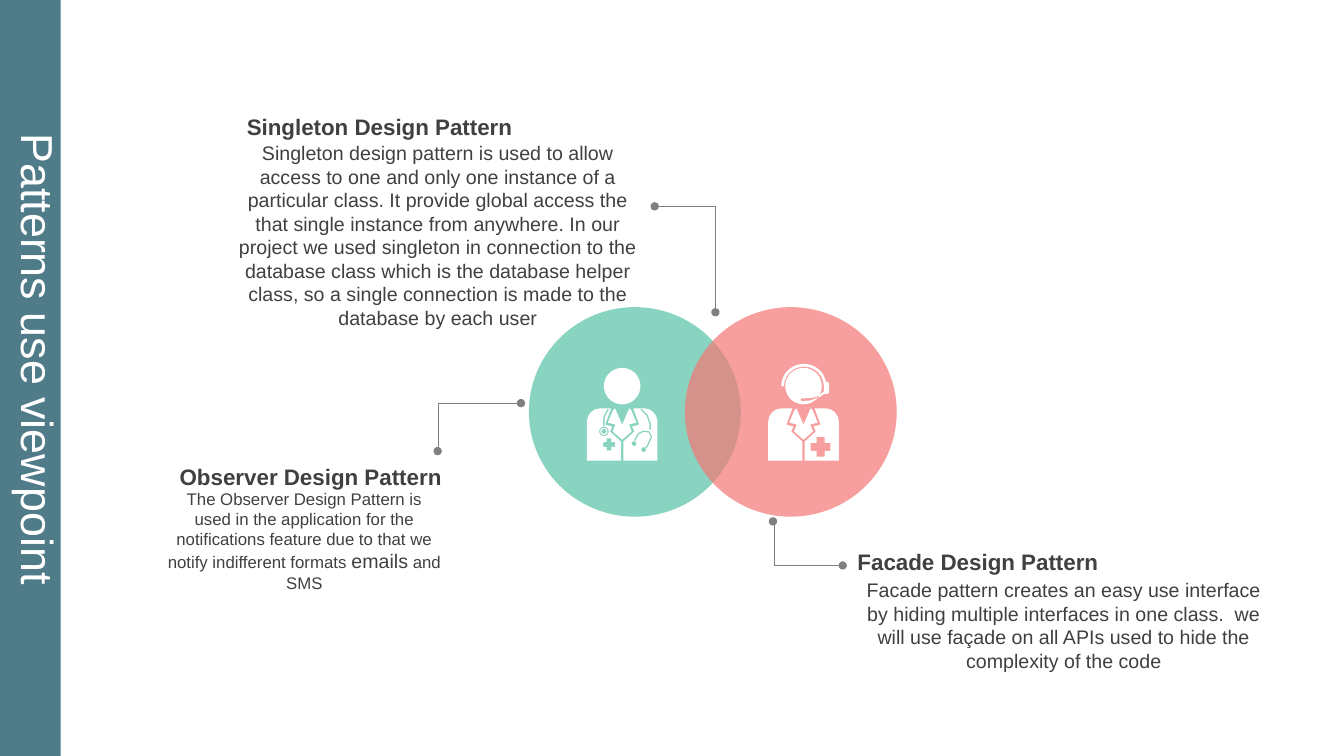
from math import cos, hypot, radians, sin

from lxml import etree
from pptx import Presentation
from pptx.dml.color import RGBColor
from pptx.enum.shapes import MSO_CONNECTOR, MSO_SHAPE
from pptx.enum.text import MSO_AUTO_SIZE, PP_ALIGN
from pptx.oxml.ns import qn
from pptx.util import Cm, Pt

ELBOW = MSO_CONNECTOR.ELBOW
RECT, OVAL = MSO_SHAPE.RECTANGLE, MSO_SHAPE.OVAL
ARC, CAP = MSO_SHAPE.BLOCK_ARC, MSO_SHAPE.ROUND_2_SAME_RECTANGLE
LEFT, MID, RIGHT = PP_ALIGN.LEFT, PP_ALIGN.CENTER, PP_ALIGN.RIGHT

FONT = "Arial"
WHITE, TEAL, DARK, GREY = "FFFFFF", "507C89", "404040", "808080"
GREEN, RED = "57C3A7", "F47775"

# Figure outlines in cm, from the top left of the coat
WIDE = 1.78
COAT = [(0.33, 0), (0.61, 0), (0.46, 0.41), (0.64, 0.46), (0.58, 0.58),
        (0.86, 0.84), (0.86, 1.32), (0, 1.32), (0, 0.33), (0.03, 0.2),
        (0.1, 0.1), (0.2, 0.03)]
LAPEL = [(0.71, 0), (0.66, 0.05), (0.53, 0.36), (0.72, 0.41), (0.65, 0.58)]
TUBES = [[(0.54, 0.02), (0.44, 0.2), (0.42, 0.45)],
         [(1.36, 0.02), (1.52, 0.18), (1.6, 0.4), (1.59, 0.54)],
         [(1.21, 0.82), (1.23, 0.76), (1.3, 0.64), (1.42, 0.58), (1.56, 0.59),
          (1.63, 0.71), (1.53, 0.94), (1.48, 1)]]
BOOM = [(0.81, -0.22), (0.84, -0.25), (1.06, -0.26), (1.22, -0.29),
        (1.31, -0.38), (1.29, -0.35), (1.24, -0.27), (1.07, -0.2),
        (0.84, -0.18)]

SINGLE = ("Singleton design pattern is used to allow access to one and only one "
          "instance of a particular class. It provide global access the that "
          "single instance from anywhere. In our project we used singleton in "
          "connection to the database class which is the database helper class, "
          "so a single connection is made to the database by each user")
WATCH = [("The Observer Design Pattern is used in the application for the "
          "notifications feature due to that we notify indifferent formats ", 12),
         ("emails", 14), (" and SMS", 12)]
FACADE = ("Facade pattern creates an easy use interface by hiding multiple "
          "interfaces in one class.  we will use façade on all APIs used to hide "
          "the complexity of the code")


def rgb(color):
    return RGBColor.from_string(color)


def paint(shape, color):
    shape.shadow.inherit = False
    shape.fill.solid()
    shape.fill.fore_color.rgb = rgb(color)
    shape.line.fill.background()


def add_form(slide, kind, box, color, adj=(), alpha=None):
    shape = slide.shapes.add_shape(kind, *[Cm(v) for v in box])
    paint(shape, color)
    for i, value in enumerate(adj):
        shape.adjustments[i] = value
    if alpha:
        fill = shape.fill._xPr.find(qn("a:solidFill"))[0]
        etree.SubElement(fill, qn("a:alpha"), val=str(alpha * 1000))
    return shape


def add_text(slide, box, runs, size, color=DARK, align=LEFT, bold=False):
    shape = slide.shapes.add_textbox(*[Cm(v) for v in box])
    frame = shape.text_frame
    frame.word_wrap = True
    frame.auto_size = MSO_AUTO_SIZE.SHAPE_TO_FIT_TEXT
    para = frame.paragraphs[0]
    para.alignment = align
    para.font.name = FONT
    para.font.bold = bold
    para.font.color.rgb = rgb(color)
    if isinstance(runs, str):
        para.font.size = Pt(size)
        para.add_run().text = runs
    else:
        for words, points in runs:
            run = para.add_run()
            run.text = words
            run.font.size = Pt(points)
    return frame


def add_link(slide, start, end, adj):
    link = slide.shapes.add_connector(ELBOW, *[Cm(v) for v in start + end])
    link.line.color.rgb = rgb(GREY)
    link.line.width = Pt(0.5)
    props = link._element.spPr
    guides = props.find(qn("a:prstGeom")).find(qn("a:avLst"))
    etree.SubElement(guides, qn("a:gd"), name="adj1", fmla=f"val {adj}")
    for tag in ("a:headEnd", "a:tailEnd"):
        etree.SubElement(props.find(qn("a:ln")), qn(tag), type="oval")
    etree.SubElement(props, qn("a:effectLst"))


def flip(points):
    return [(WIDE - x, y) for x, y in points]


def disc(x, y, rad, step=10):
    return [(x + rad * cos(radians(a)), y + rad * sin(radians(a)))
            for a in range(0, 360, step)]


def cross(x, y, arm, half):
    """Outline a plus sign around its centre."""
    turn = [(half, -arm), (half, -half), (arm, -half)]
    points = []
    for _ in range(4):
        points += [(x + a, y + b) for a, b in turn]
        turn = [(-b, a) for a, b in turn]
    return points


def strip(points, half=0.02):
    """Outline a thin band along a line."""
    near, far = [], []
    for i, (x, y) in enumerate(points):
        before, after = points[max(i - 1, 0)], points[min(i + 1, len(points) - 1)]
        dx, dy = after[0] - before[0], after[1] - before[1]
        scale = half / hypot(dx, dy)
        near.append((x - dy * scale, y + dx * scale))
        far.append((x + dy * scale, y - dx * scale))
    return near + far[::-1]


def add_medic(slide, spot, details):
    """Draw head and coat as one shape; the details are cut out of it."""
    collar = LAPEL + [(0.89, 0.79)] + flip(LAPEL)[::-1] + [(0.89, 0.41)]
    parts = [COAT, flip(COAT), collar, disc(WIDE / 2, -0.56, 0.46)] + details
    pen = None
    for part in parts:
        dots = [(round((spot[0] + x) * 1000), round((spot[1] + y) * 1000))
                for x, y in part]
        if pen is None:
            pen = slide.shapes.build_freeform(*dots[0], scale=Cm(1) / 1000)
        else:
            pen.move_to(*dots[0])
        pen.add_line_segments(dots[1:], close=True)
    paint(pen.convert_to_shape(), WHITE)


def add_doctor(slide, spot):
    rings = [disc(0.43, 0.58, rad) for rad in (0.12, 0.09, 0.06)]
    tips = [disc(1.19, 0.89, 0.06), disc(1.43, 1.04, 0.06)]
    tubes = [strip(tube) for tube in TUBES]
    add_medic(slide, spot, [cross(0.56, 0.91, 0.15, 0.06)] + rings + tips + tubes)


def add_agent(slide, spot):
    add_medic(slide, spot, [cross(1.32, 0.97, 0.25, 0.1), BOOM])
    # Headset
    gear = [(ARC, (0.33, -1.12, 1.14, 1.12), [108, 215.41, 0.06], 0),
            (CAP, (1.32, -0.58, 0.3, 0.13), [0.4, 0], 90),
            (ARC, (0.28, -1.55, 1.37, 1.35), [24.82, 36.97, 0.04], 0)]
    for kind, (left, top, wide, high), adj, turn in gear:
        box = (spot[0] + left, spot[1] + top, wide, high)
        add_form(slide, kind, box, WHITE, adj).rotation = turn


def main():
    deck = Presentation()
    deck.slide_width, deck.slide_height = Cm(33.87), Cm(19.05)
    slide = deck.slides.add_slide(deck.slide_layouts[6])

    # Side band with the title
    add_form(slide, RECT, (0, 0, 1.53, 19.05), TEAL)
    title = add_text(slide, (-0.09, 3.11, 1.88, 11.71), "Patterns use viewpoint",
                     32, WHITE)
    title.word_wrap = False
    title._txBody.bodyPr.set("vert", "vert")

    # Overlapping circles with their figures
    for left, color in ((13.33, GREEN), (17.26, RED)):
        add_form(slide, OVAL, (left, 7.74, 5.34, 5.28), color, alpha=70)
    add_doctor(slide, (14.79, 10.29))
    add_agent(slide, (19.36, 10.29))

    # Links from the circles to the texts
    add_link(slide, (11.03, 11.37), (13.13, 10.16), 700)
    add_link(slide, (21.24, 14.25), (19.48, 13.14), 98200)
    add_link(slide, (16.5, 5.2), (18.03, 7.87), 99200)

    # Pattern headings and texts
    heads = [((5.97, 2.72, 7.42, 0.89), "Singleton Design Pattern", LEFT),
             ((3.96, 11.55, 7.42, 0.89), "Observer Design Pattern", RIGHT),
             ((21.36, 13.69, 10.92, 0.89), "Facade Design Pattern", LEFT)]
    for box, words, align in heads:
        add_text(slide, box, words, 16, align=align, bold=True)
    notes = [((5.7, 3.43, 10.67, 5.05), SINGLE),
             ((3.96, 12.19, 7.42, 2.9), WATCH),
             ((21.35, 14.44, 10.92, 2.64), FACADE)]
    for box, words in notes:
        add_text(slide, box, words, 14, align=MID)

    deck.save("out.pptx")


if __name__ == "__main__":
    main()
